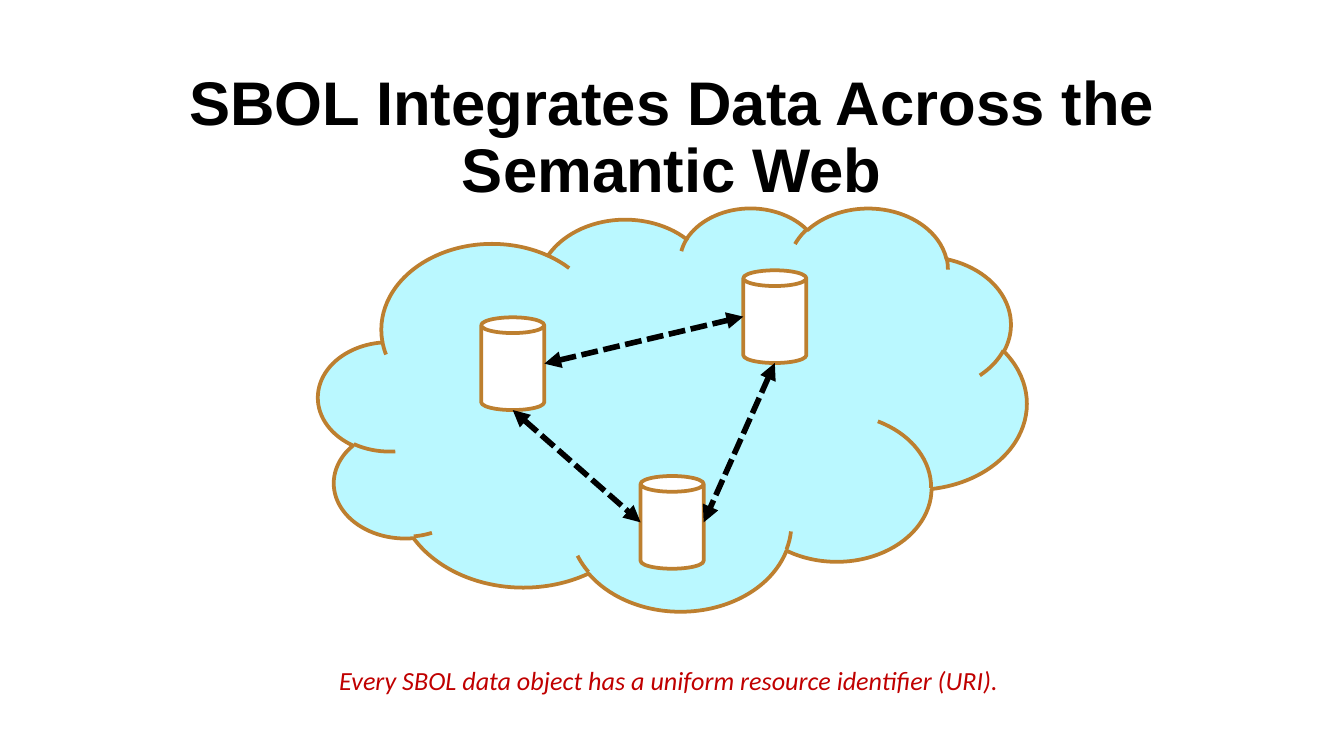
from lxml import etree
from pptx import Presentation
from pptx.dml.color import RGBColor
from pptx.enum.dml import MSO_LINE
from pptx.enum.shapes import MSO_CONNECTOR, MSO_SHAPE
from pptx.enum.text import MSO_ANCHOR, PP_ALIGN
from pptx.oxml.ns import qn
from pptx.util import Pt

CLOUD, CAN = MSO_SHAPE.CLOUD, MSO_SHAPE.CAN
STRAIGHT = MSO_CONNECTOR.STRAIGHT
SHORT_DASH = MSO_LINE.SQUARE_DOT
TOP, CENTER = MSO_ANCHOR.TOP, PP_ALIGN.CENTER

BLACK, WHITE, BRONZE, SKY, RED = "000000", "FFFFFF", "BD7F2F", "BAF8FF", "C00000"
CAN_WIDTH, CAN_HEIGHT = 33.8, 49.7
DATABASES = {"left": (87.2, 59), "bottom": (172.6, 144), "right": (227.6, 33.8)}
LINKS = [
    ("left", "south", "bottom", "west"),
    ("left", "east", "right", "west"),
    ("right", "south", "bottom", "east"),
]
SIDES = {"west": (0, 0.5), "east": (1, 0.5), "south": (0.5, 1)}


def color(hex_value):
    """Return the colour for a hex string."""
    return RGBColor.from_string(hex_value)


def write(shape, text, size, font, hex_value, bold=False, italic=False):
    """Set one centred, top-anchored paragraph in a shape."""
    frame = shape.text_frame
    frame.word_wrap = True
    frame.vertical_anchor = TOP
    frame.margin_left = frame.margin_right = Pt(7.2)
    frame.margin_top = frame.margin_bottom = Pt(3.6)
    paragraph = frame.paragraphs[0]
    paragraph.alignment = CENTER
    paragraph.line_spacing = 0.9
    paragraph.space_before = Pt(0)
    run = paragraph.add_run()
    run.text = text
    run.font.size, run.font.name = Pt(size), font
    run.font.bold, run.font.italic = bold, italic
    run.font.color.rgb = color(hex_value)


def add_outlined(slide, preset, box, fill):
    """Add a filled preset shape with the bronze outline."""
    shape = slide.shapes.add_shape(preset, *map(Pt, box))
    shape.shadow.inherit = False
    shape.fill.solid()
    shape.fill.fore_color.rgb = color(fill)
    shape.line.color.rgb = color(BRONZE)
    shape.line.width = Pt(2)


def add_link(slide, start, end):
    """Add a dashed line with an arrowhead at both ends."""
    link = slide.shapes.add_connector(STRAIGHT, *map(Pt, (*start, *end)))
    link.line.color.rgb = color(BLACK)
    link.line.width = Pt(3)
    link.line.dash_style = SHORT_DASH
    properties = link.line._get_or_add_ln()
    for tag in ("a:headEnd", "a:tailEnd"):
        etree.SubElement(properties, qn(tag), type="triangle")
    etree.SubElement(link._element.spPr, qn("a:effectLst"))


def build_title(slide, box):
    """Place and format the title placeholder."""
    title = slide.shapes.title
    title.left, title.top, title.width, title.height = map(Pt, box)
    write(title, "SBOL Integrates Data Across the Semantic Web",
          size=33, font="Arial", hex_value=BLACK, bold=True)


def build_web(slide, box):
    """Draw the cloud with its linked databases."""
    left, top = box[:2]
    add_outlined(slide, CLOUD, box, SKY)
    for x, y in DATABASES.values():
        add_outlined(slide, CAN, (left + x, top + y, CAN_WIDTH, CAN_HEIGHT), WHITE)

    def side_point(database, side):
        """Return the middle of one side of a database."""
        x, y = DATABASES[database]
        across, down = SIDES[side]
        return left + x + across * CAN_WIDTH, top + y + down * CAN_HEIGHT

    for source, source_side, target, target_side in LINKS:
        add_link(slide, side_point(source, source_side), side_point(target, target_side))


def build_caption(slide, box):
    """Place the closing remark."""
    caption = slide.shapes.add_textbox(*map(Pt, box))
    write(caption, "Every SBOL data object has a uniform resource identifier (URI). ",
          size=14, font="Calibri", hex_value=RED, italic=True)


def main():
    """Build and save the slide."""
    deck = Presentation()
    deck.slide_width, deck.slide_height = Pt(720), Pt(405)
    slide = deck.slides.add_slide(deck.slide_layouts[5])
    build_web(slide, (170.6, 111, 379.4, 216))
    build_title(slide, (24.5, 35.3, 671, 45.4))
    build_caption(slide, (24.5, 354.2, 671, 45.4))
    deck.save("out.pptx")


if __name__ == "__main__":
    main()
